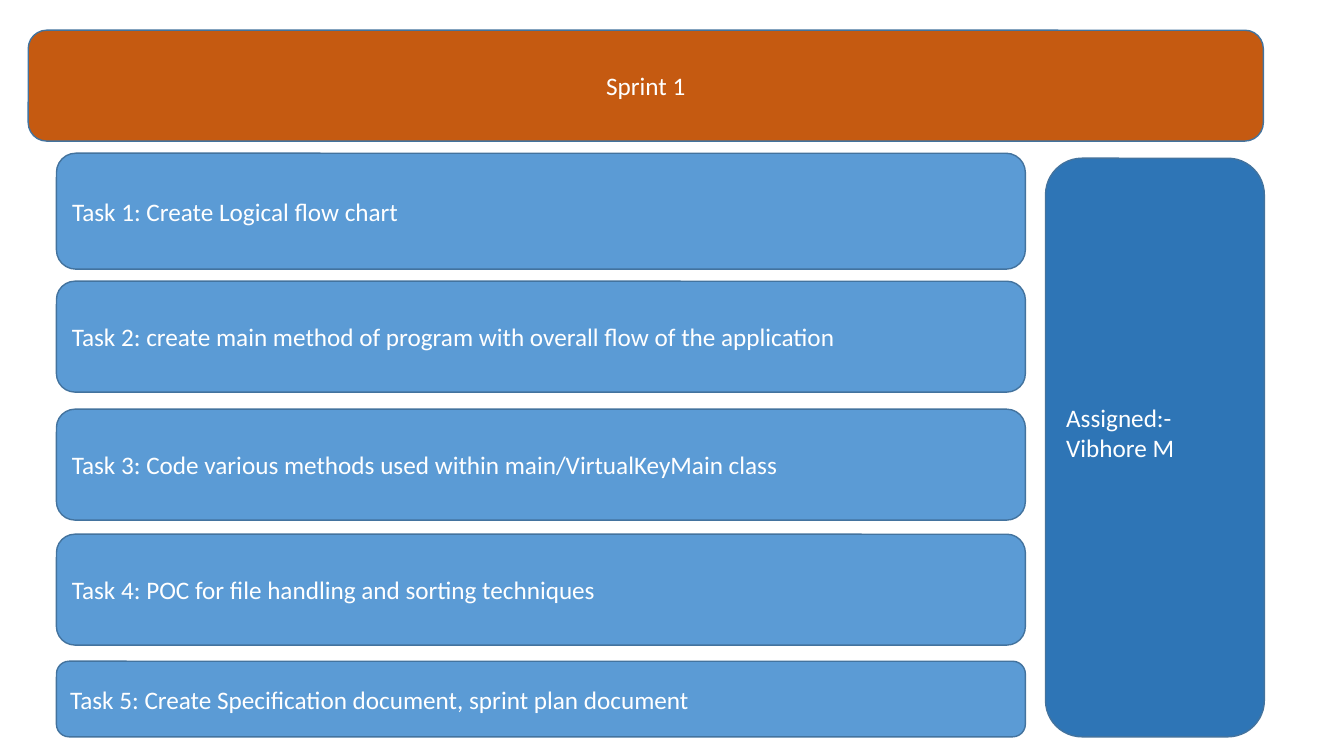
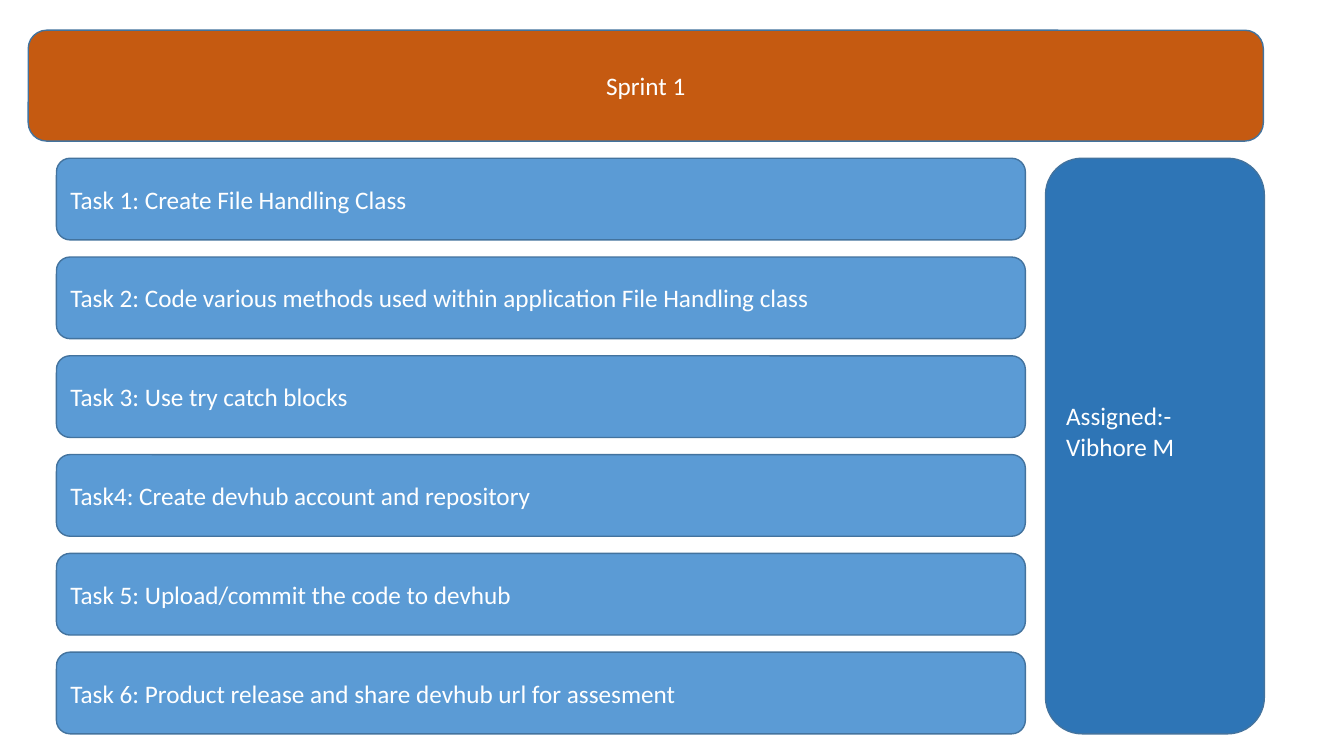
from pptx import Presentation
from pptx.dml.color import RGBColor
from pptx.enum.shapes import MSO_SHAPE
from pptx.enum.text import MSO_ANCHOR, PP_ALIGN
from pptx.util import Inches, Pt

COLORS = {
    "title": "C55A11",
    "task": "5B9BD5",
    "owner": "2E75B6",
    "line": "43739E",
    "text": "FFFFFF",
}
FONT = "Calibri"
TASK_LEFT, TASK_WIDTH = 0.56, 9.61
OWNER_TOP = 1.57

FIRST_TASKS = [
    (1.52, 1.15, "Task 1: Create Logical flow chart"),
    (2.79, 1.1, "Task 2: create main method of program with overall flow of the application"),
    (4.06, 1.1, "Task 3: Code various methods used within main/VirtualKeyMain class"),
    (5.3, 1.1, "Task 4: POC for file handling and sorting techniques"),
    (6.56, 0.75, "Task 5: Create Specification document, sprint plan document"),
]
NEXT_TOP, NEXT_STEP, NEXT_HEIGHT = 1.57, 0.98, 0.81
NEXT_TEXTS = [
    "Task 1: Create File Handling Class",
    "Task 2: Code various methods used within application File Handling class",
    "Task 3: Use try catch blocks",
    "Task4: Create devhub account and repository",
    "Task 5: Upload/commit the code to devhub",
    "Task 6: Product release and share devhub url for assesment",
]
NEXT_TASKS = [
    (NEXT_TOP + row * NEXT_STEP, NEXT_HEIGHT, text)
    for row, text in enumerate(NEXT_TEXTS)
]


def color(name):
    return RGBColor.from_string(COLORS[name])


def write(shape, text, align=PP_ALIGN.LEFT, size=18, bottom=0.05):
    frame = shape.text_frame
    frame.word_wrap = True
    frame.vertical_anchor = MSO_ANCHOR.MIDDLE
    frame.margin_bottom = Inches(bottom)
    frame.text = text
    for para in frame.paragraphs:
        para.alignment = align
        for run in para.runs:
            run.font.name = FONT
            run.font.size = Pt(size)
            run.font.color.rgb = color("text")


def add_box(slide, left, top, width, height, fill, text, **style):
    box = slide.shapes.add_shape(
        MSO_SHAPE.ROUNDED_RECTANGLE,
        Inches(left), Inches(top), Inches(width), Inches(height),
    )
    box.shadow.inherit = False
    box.fill.solid()
    box.fill.fore_color.rgb = color(fill)
    box.line.color.rgb = color("line")
    box.line.width = Pt(1)
    write(box, text, **style)


def add_sprint(deck, title, tasks, owner):
    slide = deck.slides.add_slide(deck.slide_layouts[6])
    add_box(slide, 0.28, 0.3, 12.25, 1.1, "title", title, align=PP_ALIGN.CENTER)
    for top, height, text in tasks:
        add_box(slide, TASK_LEFT, top, TASK_WIDTH, height, "task", text)
    end = top + height
    add_box(slide, 10.37, OWNER_TOP, 2.17, end - OWNER_TOP, "owner", owner, bottom=0.35)


def main():
    deck = Presentation()
    deck.slide_width = Inches(13.33)
    deck.slide_height = Inches(7.5)
    for tasks in (FIRST_TASKS, NEXT_TASKS):
        add_sprint(deck, "Sprint 1", tasks, "Assigned:-\nVibhore M")
    deck.save("out.pptx")


main()
